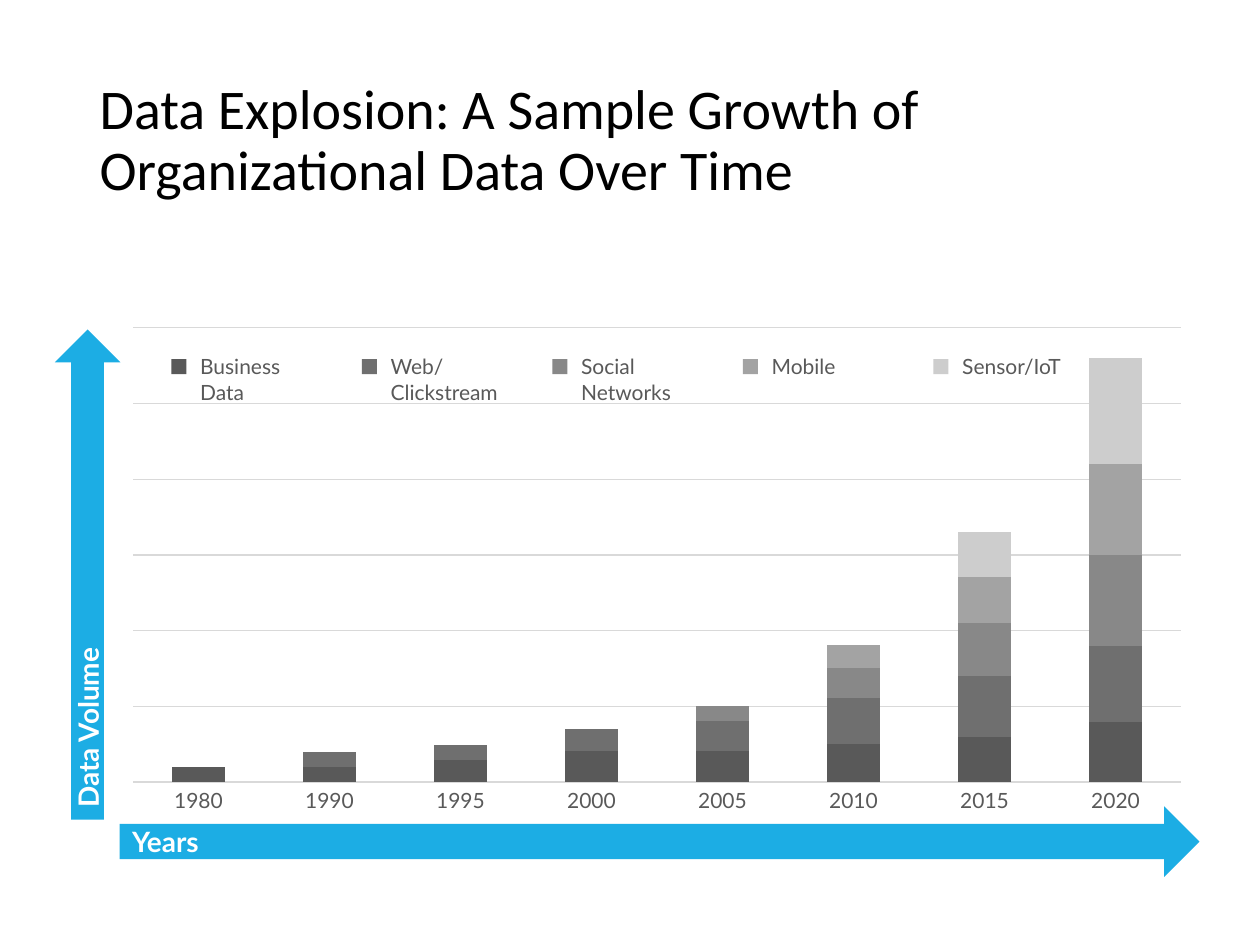
from lxml import etree
from pptx import Presentation
from pptx.chart.data import CategoryChartData
from pptx.dml.color import RGBColor
from pptx.enum.chart import XL_CHART_TYPE as ChartType, XL_TICK_LABEL_POSITION as LabelPosition
from pptx.enum.shapes import MSO_SHAPE as Shape
from pptx.enum.text import MSO_ANCHOR as Anchor, MSO_AUTO_SIZE as AutoSize, PP_ALIGN as Align
from pptx.oxml.ns import qn
from pptx.util import Inches, Pt

GRAY = "595959"
BLUE = "1CADE4"
YEARS = ["1980", "1990", "1995", "2000", "2005", "2010", "2015", "2020"]
SOURCES = [
    ("Business Data", 1.11, "595959", [14, 14, 21, 29, 29, 36, 43, 57]),
    ("Web/Clickstream", 1.37, "6F6F6F", [0, 14, 14, 21, 29, 43, 57, 71]),
    ("Social Networks", 1.26, "888888", [0, 0, 0, 0, 14, 29, 50, 86]),
    ("Mobile", 0.8, "A3A3A3", [0, 0, 0, 0, 0, 21, 43, 86]),
    ("Sensor/IoT", 1.05, "CDCDCD", [0, 0, 0, 0, 0, 0, 43, 100]),
]
CHART_BOX = (0.9, 2.45, 8.62, 4.33)
PLOT = {"x": 0.018, "y": 0.035, "w": 0.965, "h": 0.833}
GRID_STEP = 71.4


def color(value):
    return RGBColor.from_string(value)


def inches(box):
    return [Inches(length) for length in box]


def style(para, size, hue, name="Lato", bold=False, align=Align.LEFT):
    para.alignment = align
    font = para.font
    font.size, font.name, font.bold = Pt(size), name, bold
    font.color.rgb = color(hue)


def add_label(shapes, box, text, align=Align.LEFT):
    frame = shapes.add_textbox(*inches(box)).text_frame
    frame.word_wrap = True
    frame.text = text
    para = frame.paragraphs[0]
    para.space_before = Pt(6)
    style(para, 12, GRAY, align=align)


def add_block(shapes, kind, box, fill):
    shape = shapes.add_shape(kind, *inches(box))
    shape.shadow.inherit = False
    shape.fill.solid()
    shape.fill.fore_color.rgb = color(fill)
    shape.line.fill.background()
    return shape


def add_title(page, box, text):
    title = page.shapes.title
    title.left, title.top, title.width, title.height = inches(box)
    frame = title.text_frame
    frame.text = text
    frame.word_wrap = True
    frame.auto_size = AutoSize.NONE
    frame.vertical_anchor = Anchor.MIDDLE
    para = frame.paragraphs[0]
    para.line_spacing = 0.9
    style(para, 32, "000000", "Calibri")


def set_plot_area(chart):
    area = chart._chartSpace.chart.plotArea
    for old in area.findall(qn("c:layout")):
        area.remove(old)
    layout = etree.Element(qn("c:layout"))
    manual = etree.SubElement(layout, qn("c:manualLayout"))
    settings = {"layoutTarget": "inner", "xMode": "edge", "yMode": "edge", **PLOT}
    for name, value in settings.items():
        etree.SubElement(manual, qn(f"c:{name}")).set("val", str(value))
    area.insert(0, layout)


def add_volume_chart(page, box):
    data = CategoryChartData()
    data.categories = [str(number + 1) for number in range(len(YEARS))]
    for number, source in enumerate(SOURCES, 1):
        data.add_series(f"Series {number}", source[3])
    chart = page.shapes.add_chart(ChartType.COLUMN_STACKED, *inches(box), data).chart
    chart.has_legend = chart.has_title = False
    chart.font.name, chart.font.size = "Lato", Pt(10)
    chart.font.color.rgb = color(GRAY)
    set_plot_area(chart)

    plot = chart.plots[0]
    plot.gap_width, plot.overlap, plot.vary_by_categories = 150, 100, False
    for series, source in zip(plot.series, SOURCES):
        series.format.fill.solid()
        series.format.fill.fore_color.rgb = color(source[2])

    axis = chart.value_axis
    axis.minimum_scale, axis.maximum_scale = 0, 6 * GRID_STEP
    axis.major_unit = GRID_STEP
    axis.has_major_gridlines = True
    line = axis.major_gridlines.format.line
    line.color.rgb, line.width = color("D9D9D9"), Pt(0.75)
    for axis in (chart.category_axis, chart.value_axis):
        axis.tick_label_position = LabelPosition.NONE
        axis.visible = False


def add_axis_arrow(page, box, text, rotation=0):
    arrow = add_block(page.shapes, Shape.RIGHT_ARROW, box, BLUE)
    arrow.rotation = rotation
    frame = arrow.text_frame
    frame.text = text
    frame.vertical_anchor = Anchor.MIDDLE
    style(frame.paragraphs[0], 16, "FFFFFF", bold=True)


def add_legend(page, box):
    left, top, width, height = box
    step = width / len(SOURCES)
    labels = page.shapes.add_group_shape().shapes
    swatches = page.shapes.add_group_shape().shapes
    for column, (name, label_width, hue, _) in enumerate(SOURCES):
        x = left + column * step
        add_label(labels, (x + 0.13, top, label_width, height), name)
        add_block(swatches, Shape.RECTANGLE, (x, top + 0.09, 0.12, 0.12), hue)


def add_year_row(page, box):
    left, top, width, height = box
    step = width / len(YEARS)
    labels = page.shapes.add_group_shape().shapes
    for column, year in enumerate(YEARS):
        add_label(labels, (left + column * step, top, step, height), year, Align.CENTER)


def main():
    deck = Presentation()
    deck.slide_width, deck.slide_height = Inches(10), Inches(7.5)
    page = deck.slides.add_slide(deck.slide_layouts[5])
    left, _, width, _ = CHART_BOX
    add_title(page, (0.69, 0.4, 8.62, 1.45),
              "Data Explosion: A Sample Growth of Organizational Data Over Time")
    add_volume_chart(page, CHART_BOX)
    add_axis_arrow(page, (-1.25, 4.3, 3.89, 0.52), "Data Volume", 270)
    add_axis_arrow(page, (0.95, 6.4, 8.57, 0.56), "Years")
    add_legend(page, (1.36, 2.76, 7.56, 0.38))
    add_year_row(page, (left + PLOT["x"] * width, 6.2, PLOT["w"] * width, 0.38))
    deck.save("out.pptx")


if __name__ == "__main__":
    main()
